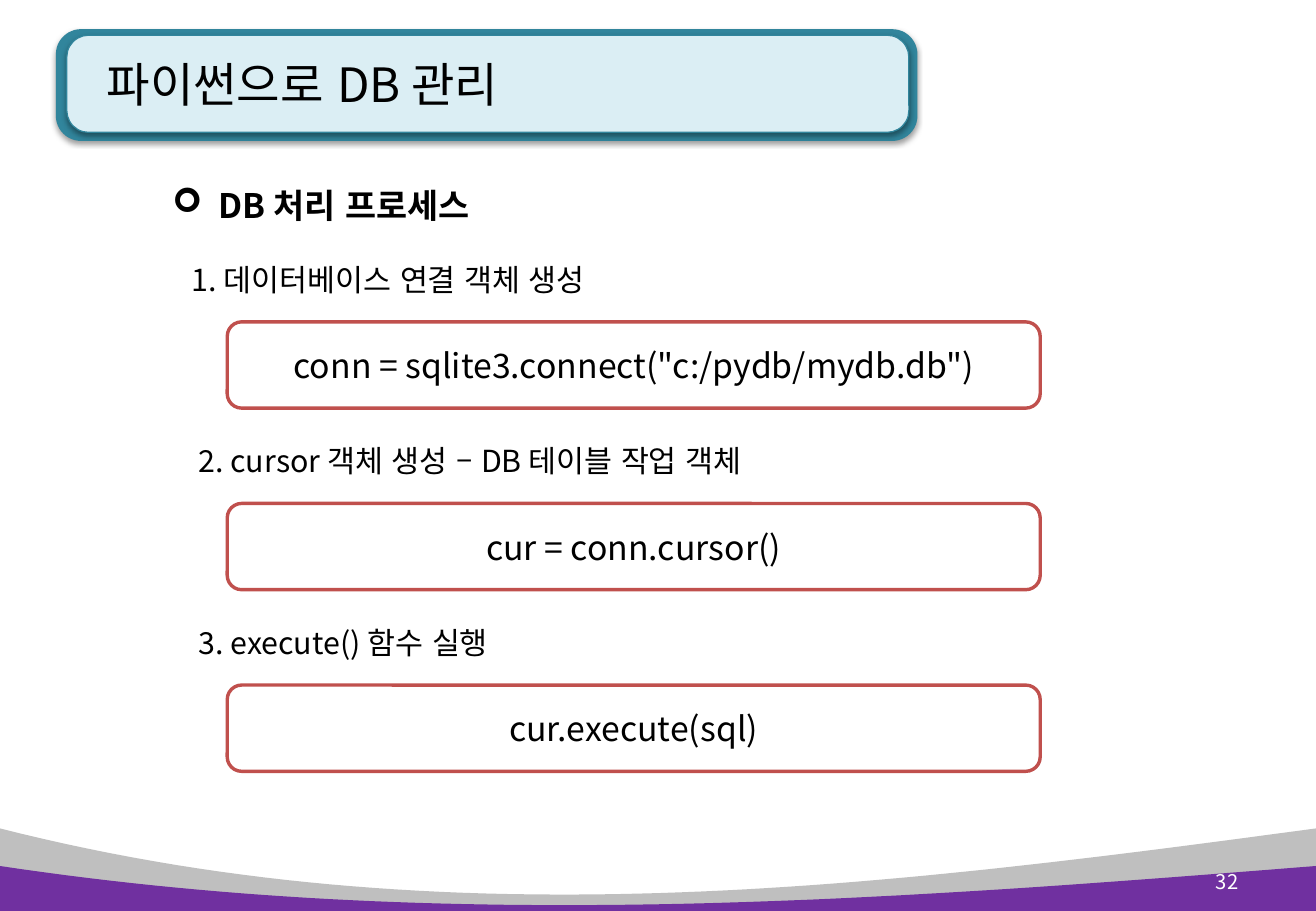
from lxml.etree import SubElement
from pptx import Presentation
from pptx.dml.color import RGBColor
from pptx.enum.lang import MSO_LANGUAGE_ID
from pptx.enum.shapes import MSO_SHAPE
from pptx.enum.text import MSO_ANCHOR, PP_ALIGN
from pptx.oxml.ns import qn
from pptx.util import Pt

EMU_PER_PX = 4572
WIDTH, HEIGHT = 2166, 1500
FONT = "Noto Sans CJK KR"
STEP_PITCH = 299
STEPS = [
    ("1. 데이터베이스 연결 객체 생성", 'conn = sqlite3.connect("c:/pydb/mydb.db")', 0),
    ("2. cursor 객체 생성 – DB 테이블 작업 객체", "cur = conn.cursor()", 11),
    ("3. execute() 함수 실행", "cur.execute(sql)", 11),
]


def px(n):
    """Turn pixels into EMU."""
    return int(n * EMU_PER_PX)


def rgb(value):
    """Turn a hex string into a colour."""
    return RGBColor.from_string(value)


def paint(s, fill, line=None, width=1):
    """Give a shape its fill and outline, without a shadow."""
    s.shadow.inherit = False
    s.fill.solid()
    s.fill.fore_color.rgb = rgb(fill)
    if line:
        s.line.color.rgb = rgb(line)
        s.line.width = Pt(width)
    else:
        s.line.fill.background()


def add_shadow(s):
    """Cast a soft shadow straight down."""
    effects = s._element.spPr.find(qn("a:effectLst"))
    shadow = SubElement(effects, qn("a:outerShdw"), blurRad="40000",
                        dist="20000", dir="5400000", rotWithShape="0")
    color = SubElement(shadow, qn("a:srgbClr"), val="000000")
    SubElement(color, qn("a:alpha"), val="38000")


def add_wave(slide, left, control_1, control_2, right, fill):
    """Fill the slide foot below a cubic curve."""
    ends = [left, control_1, control_2, right]
    points = []
    for i in range(61):
        t = i / 60
        weights = [(1 - t) ** 3, 3 * t * (1 - t) ** 2, 3 * t * t * (1 - t), t ** 3]
        points.append(tuple(px(sum(w * e[axis] for w, e in zip(weights, ends)))
                            for axis in (0, 1)))
    points += [(px(WIDTH), px(HEIGHT)), (0, px(HEIGHT))]
    builder = slide.shapes.build_freeform(*points[0], scale=1.0)
    builder.add_line_segments(points[1:], close=True)
    paint(builder.convert_to_shape(), fill)


def add_round_box(slide, box, fill, line=None, width=1, radius=0.1667):
    """Add a rounded rectangle."""
    s = slide.shapes.add_shape(MSO_SHAPE.ROUNDED_RECTANGLE, *map(px, box))
    s.adjustments[0] = radius
    paint(s, fill, line, width)
    return s


def write(s, text, size, color="000000", bold=False, align=PP_ALIGN.LEFT,
          anchor=MSO_ANCHOR.MIDDLE, indent=0, bullet=None):
    """Write one paragraph into a shape."""
    tf = s.text_frame
    tf.word_wrap = True
    tf.vertical_anchor = anchor
    p = tf.paragraphs[0]
    p.alignment = align
    pPr = p._p.get_or_add_pPr()
    if indent:
        pPr.set("marL", str(px(indent)))
    if bullet:
        pPr.set("indent", str(-px(indent)))
        SubElement(pPr, qn("a:buFont"), typeface="Wingdings")
        SubElement(pPr, qn("a:buChar"), char=bullet)
    r = p.add_run()
    r.text = text
    formats = {"size": Pt(size), "bold": bold, "name": FONT,
               "language_id": MSO_LANGUAGE_ID.KOREAN}
    for key, value in formats.items():
        setattr(r.font, key, value)
    r.font.color.rgb = rgb(color)
    SubElement(r._r.get_or_add_rPr(), qn("a:ea"), typeface=FONT)


def add_text(slide, box, text, size, **options):
    """Add a text box."""
    write(slide.shapes.add_textbox(*map(px, box)), text, size, **options)


def add_step(slide, index, label, code, indent):
    """Add a numbered step with its framed code."""
    offset = index * STEP_PITCH
    add_text(slide, (296, 420 + offset, 1292, 80), label, 18,
             anchor=MSO_ANCHOR.TOP, indent=indent)
    frame = add_round_box(slide, (374, 530 + offset, 1338, 142),
                          "FFFFFF", "C0504D", 2)
    write(frame, code, 20, align=PP_ALIGN.CENTER)


def main():
    """Build the slide and save it."""
    prs = Presentation()
    prs.slide_width, prs.slide_height = px(WIDTH), px(HEIGHT)
    slide = prs.slides.add_slide(prs.slide_layouts[6])
    add_wave(slide, (0, 1364), (730, 1550), (1440, 1462), (WIDTH, 1364), "BFBFBF")
    add_shadow(add_round_box(slide, (92, 48, 1418, 184), "31859C", radius=0.225))
    add_shadow(add_round_box(slide, (110, 58, 1386, 160), "DBEEF4", "31859C",
                             0.75, radius=0.225))
    add_wave(slide, (0, 1426), (730, 1536), (1440, 1484), (WIDTH, 1426), "7030A0")
    add_text(slide, (138, 44, 1356, 188), "파이썬으로 DB 관리", 28, indent=18)
    add_text(slide, (1936, 1412, 122, 80), "32", 12, color="FFFFFF",
             align=PP_ALIGN.RIGHT)
    add_text(slide, (264, 294, 678, 88), "DB 처리 프로세스", 20, bold=True,
             anchor=MSO_ANCHOR.TOP, indent=76, bullet="➢")
    for index, step in enumerate(STEPS):
        add_step(slide, index, *step)
    prs.save("out.pptx")


if __name__ == "__main__":
    main()
